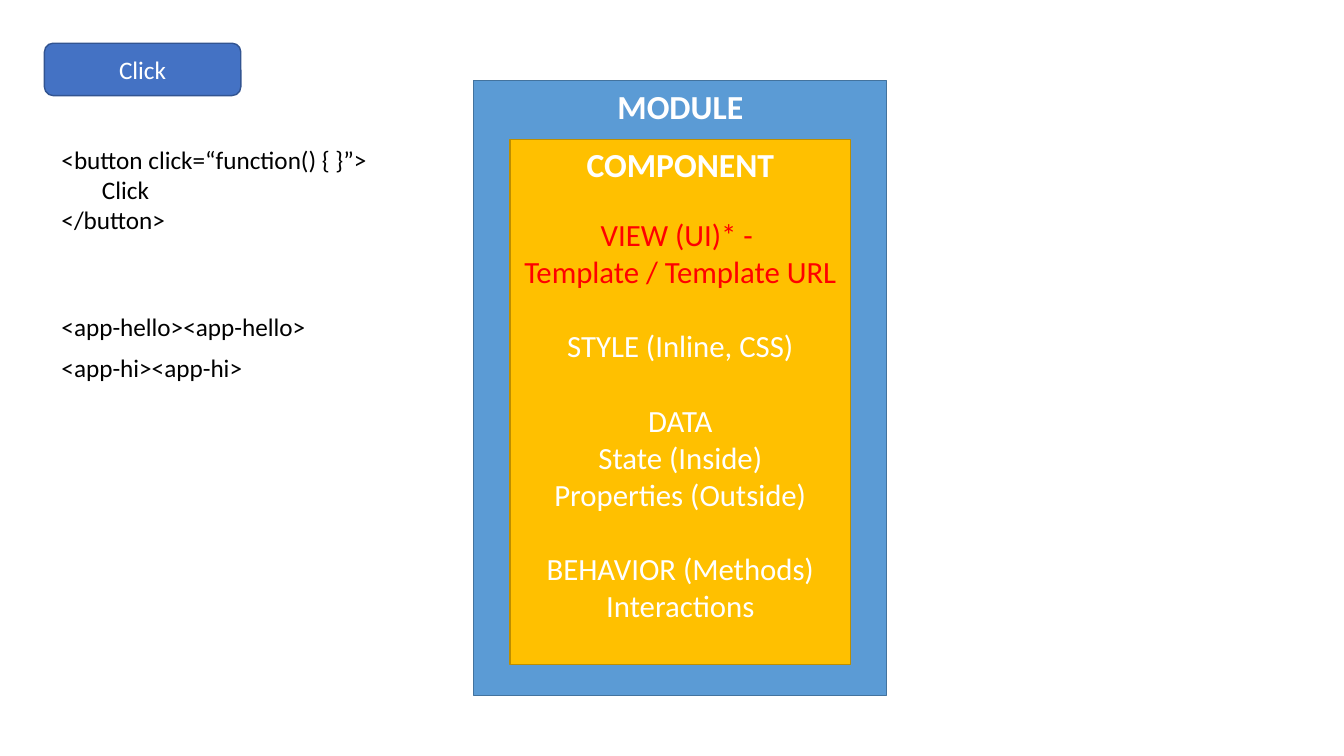
from dataclasses import dataclass

from pptx import Presentation
from pptx.dml.color import RGBColor
from pptx.enum.shapes import MSO_SHAPE
from pptx.enum.text import MSO_ANCHOR, MSO_AUTO_SIZE, PP_ALIGN
from pptx.util import Cm, Pt

RECT, ROUND_RECT = MSO_SHAPE.RECTANGLE, MSO_SHAPE.ROUNDED_RECTANGLE
TOP, MIDDLE = MSO_ANCHOR.TOP, MSO_ANCHOR.MIDDLE
LEFT, CENTER = PP_ALIGN.LEFT, PP_ALIGN.CENTER
FIT_SHAPE = MSO_AUTO_SIZE.SHAPE_TO_FIT_TEXT


@dataclass(frozen=True)
class Theme:
    font: str = "Calibri"
    white: str = "FFFFFF"
    black: str = "000000"
    red: str = "FF0000"
    module: tuple = ("5B9BD5", "43739E")
    component: tuple = ("FFC000", "BD8E00")
    button: tuple = ("4472C4", "325491")
    heading: int = 24
    item: int = 22
    code: int = 18
    heading_gap: float = 22
    item_gap: float = 26.85


THEME = Theme()

COMPONENT_GROUPS = [
    (["VIEW (UI)* - ", "Template / Template URL"], THEME.red),
    (["STYLE (Inline, CSS)"], THEME.white),
    (["DATA", "State (Inside)", "Properties (Outside)"], THEME.white),
    (["BEHAVIOR (Methods)", "Interactions"], THEME.white),
]


def add_line(tf, text, size, color, align=LEFT, bold=False, gap=0):
    p = tf.paragraphs[0]
    if p.runs:
        p = tf.add_paragraph()
    p.alignment = align
    if gap:
        p.space_before = Pt(gap)
    r = p.add_run()
    r.text = text
    r.font.name = THEME.font
    r.font.size = Pt(size)
    r.font.bold = bold
    r.font.color.rgb = RGBColor.from_string(color)
    return p


def add_panel(s, box, kind, colors, anchor=TOP):
    fill, line = colors
    sp = s.shapes.add_shape(kind, *map(Cm, box))
    sp.shadow.inherit = False
    sp.fill.solid()
    sp.fill.fore_color.rgb = RGBColor.from_string(fill)
    sp.line.color.rgb = RGBColor.from_string(line)
    sp.line.width = Pt(1)
    tf = sp.text_frame
    tf.word_wrap = True
    tf.vertical_anchor = anchor
    return tf


def add_button(s, box):
    tf = add_panel(s, box, ROUND_RECT, THEME.button, MIDDLE)
    add_line(tf, "Click", THEME.code, THEME.white, CENTER)


def add_code(s, box, lines):
    tf = s.shapes.add_textbox(*map(Cm, box)).text_frame
    tf.word_wrap = False
    tf.auto_size = FIT_SHAPE
    for text, indent in lines:
        p = add_line(tf, text, THEME.code, THEME.black)
        if indent:
            p._p.get_or_add_pPr().set("marL", str(Cm(indent)))


def add_component(s, box):
    tf = add_panel(s, box, RECT, THEME.component)
    add_line(tf, "COMPONENT", THEME.heading, THEME.white, CENTER, bold=True)
    for g, (lines, color) in enumerate(COMPONENT_GROUPS):
        for i, text in enumerate(lines):
            gap = 0 if i else THEME.item_gap if g else THEME.heading_gap
            add_line(tf, text, THEME.item, color, CENTER, gap=gap)


def add_module(s, box):
    left, top, width, height = box
    side, head, foot = 0.91, 1.48, 0.78
    tf = add_panel(s, box, RECT, THEME.module)
    add_line(tf, "MODULE", THEME.heading, THEME.white, CENTER, bold=True)
    add_component(s, (left + side, top + head,
                      width - 2 * side, height - head - foot))


def add_markup(s, box):
    left, top, width = box
    button_code = [("<button click=“function() { }”>", 0),
                   ("Click", 1.02), ("</button>", 0)]
    add_code(s, (left, top, width, 2.57), button_code)
    add_code(s, (left, top + 4.21, 6.73, 1.02),
             [("<app-hello><app-hello>", 0)])
    add_code(s, (left, top + 5.25, 5.13, 1.02), [("<app-hi><app-hi>", 0)])


def main():
    prs = Presentation()
    prs.slide_width, prs.slide_height = Cm(33.87), Cm(19.05)
    s = prs.slides.add_slide(prs.slide_layouts[6])
    add_module(s, (11.94, 2.03, 10.41, 15.49))
    add_button(s, (1.12, 1.09, 4.95, 1.32))
    add_markup(s, (1.3, 3.51, 8.31))
    prs.save("out.pptx")


if __name__ == "__main__":
    main()
